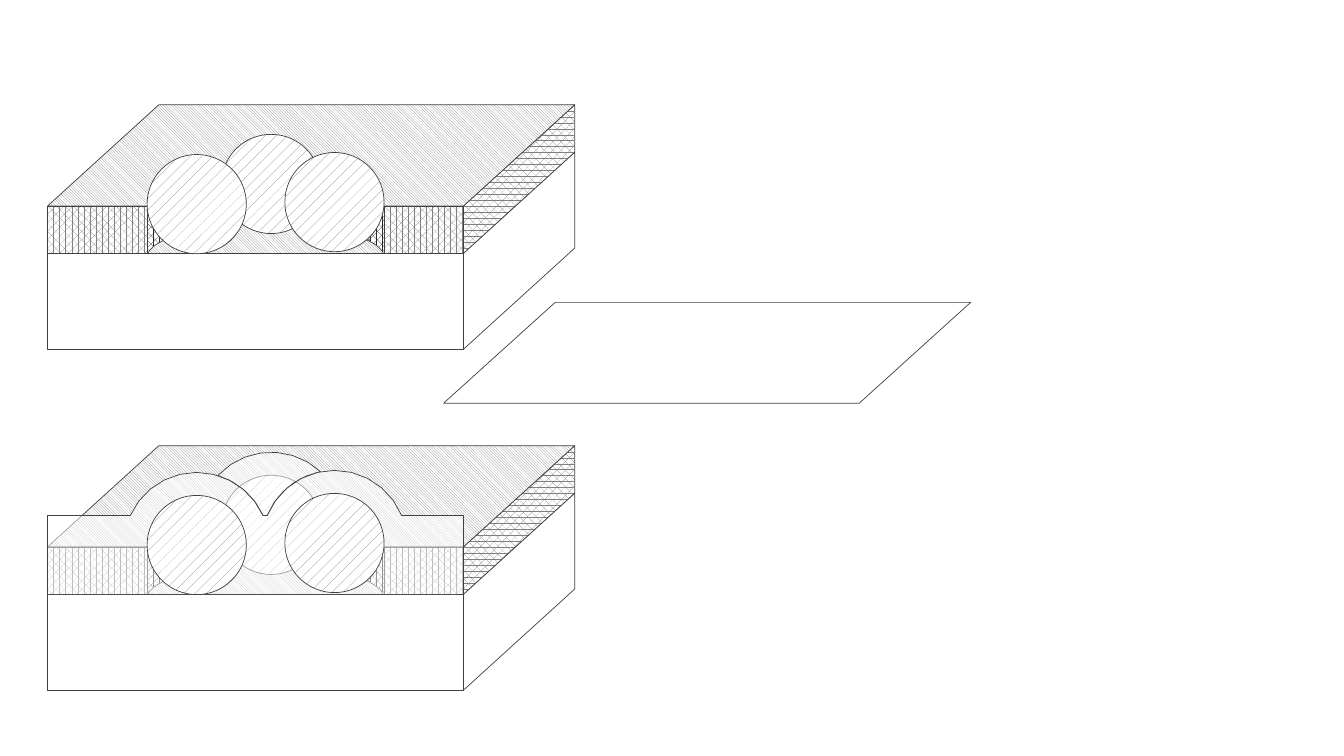
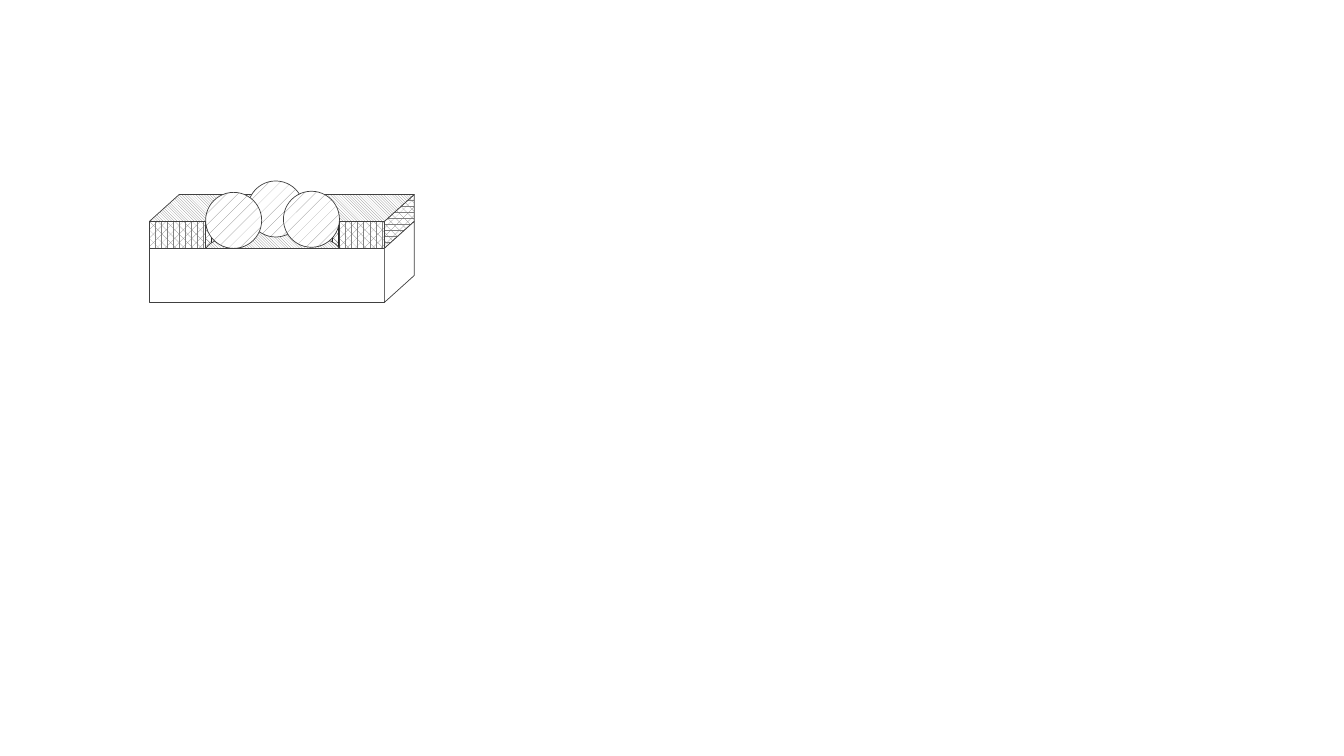
from dataclasses import dataclass
from math import asin, ceil, cos, degrees, radians, sin
from typing import NamedTuple, Optional

from lxml.etree import SubElement
from pptx import Presentation
from pptx.dml.color import RGBColor
from pptx.enum.dml import MSO_PATTERN as Pattern
from pptx.enum.shapes import MSO_SHAPE as Preset
from pptx.oxml.ns import qn
from pptx.util import Inches, Pt

COLORS = {"paper": "FFFFFF", "outline": "404040", "grey": "808080", "dark": "262626"}

# The slide is a grid of 75 rows of square cells; all lengths are in cells.
ROWS = 75
SLIDE_WIDTH, SLIDE_HEIGHT = Inches(13.33), Inches(7.5)
CELL = SLIDE_HEIGHT / ROWS


class Point(NamedTuple):
    x: float
    y: float


@dataclass(frozen=True)
class Paint:
    """A solid fill in the paper colour, or a pattern in the given ink."""
    pattern: Optional[Pattern] = None
    ink: str = "grey"
    opacity: int = 100


SOLID = Paint()
GLASS = Paint(opacity=50)
FILM = Paint(Pattern.PERCENT_60)
HOLLOW = Paint(Pattern.PERCENT_60, "dark")
SURFACE = Paint(Pattern.DARK_DOWNWARD_DIAGONAL)
SPHERE = Paint(Pattern.PERCENT_10)

# Proportions of a block at scale 1, measured from the film's front top left corner.
WIDTH, FILM_HEIGHT, BASE_HEIGHT = 41.25, 4.72, 9.5
OPENING_LEFT, OPENING_WIDTH = 9.87, 23.52
FLOOR_TOP, FLOOR_HEIGHT = 1.8, 6.6
BALL_SIZE = 9.84
LEFT_BALL, BACK_BALL, RIGHT_BALL = Point(9.87, -5.1), Point(17.25, -7.1), Point(23.53, -5.3)
COAT_RADIUS, COAT_LEDGE = 7.2, -3.1
ARC_STEP = 14


@dataclass(frozen=True)
class Block:
    left: float
    top: float
    scale: float
    skew: Point
    coated: bool = False

    def at(self, x: float, y: float) -> Point:
        return Point(self.left + x * self.scale, self.top + y * self.scale)

    def behind(self, x: float, y: float) -> Point:
        """The point on the back face that matches a point on the front face."""
        front = self.at(x, y)
        return Point(front.x + self.skew.x, front.y - self.skew.y)


def emu(cells: float) -> int:
    return round(cells * CELL)


def rgb(name: str) -> RGBColor:
    return RGBColor.from_string(COLORS[name])


def apply_paint(shape, paint: Paint) -> None:
    shape.shadow.inherit = False
    fill = shape.fill
    if paint.pattern is None:
        fill.solid()
        fill.fore_color.rgb = rgb("paper")
        if paint.opacity < 100:
            color = shape.element.spPr.find(f"{qn('a:solidFill')}/{qn('a:srgbClr')}")
            SubElement(color, qn("a:alpha")).set("val", str(paint.opacity * 1000))
    else:
        fill.patterned()
        fill.pattern = paint.pattern
        fill.fore_color.rgb = rgb(paint.ink)
        fill.back_color.rgb = rgb("paper")
    shape.line.color.rgb = rgb("outline")
    shape.line.width = Pt(0.5)


def draw_preset(shapes, preset: Preset, corner: Point, width: float, height: float,
                paint: Paint) -> None:
    shape = shapes.add_shape(preset, emu(corner.x), emu(corner.y), emu(width), emu(height))
    apply_paint(shape, paint)


def draw_outline(shapes, points: list[Point], paint: Paint) -> None:
    corners = [(emu(point.x), emu(point.y)) for point in points]
    builder = shapes.build_freeform(*corners[0], scale=1.0)
    builder.add_line_segments(corners[1:], close=True)
    apply_paint(builder.convert_to_shape(), paint)


def coat_arc(block: Block, ball: Point, start: float, end: float) -> list[Point]:
    """Points on the coat around a ball, between two angles in degrees."""
    steps = ceil(abs(end - start) / ARC_STEP)
    angles = [radians(start + (end - start) * step / steps) for step in range(steps + 1)]
    return [block.at(ball.x + BALL_SIZE / 2 + COAT_RADIUS * cos(angle),
                     ball.y + BALL_SIZE / 2 - COAT_RADIUS * sin(angle)) for angle in angles]


def ledge_angle(ball: Point) -> float:
    return degrees(asin((ball.y + BALL_SIZE / 2 - COAT_LEDGE) / COAT_RADIUS))


def draw_back_coat(shapes, block: Block) -> None:
    points = (coat_arc(block, BACK_BALL, 137, 47)
              + coat_arc(block, RIGHT_BALL, 101, 180 - ledge_angle(RIGHT_BALL))
              + coat_arc(block, LEFT_BALL, ledge_angle(LEFT_BALL), 72))
    draw_outline(shapes, points, GLASS)


def draw_front_coat(shapes, block: Block) -> None:
    points = [block.at(0, FILM_HEIGHT), block.at(0, COAT_LEDGE)]
    for ball in (LEFT_BALL, RIGHT_BALL):
        angle = ledge_angle(ball)
        points += coat_arc(block, ball, 180 - angle, angle)
    points += [block.at(WIDTH, COAT_LEDGE), block.at(WIDTH, FILM_HEIGHT)]
    draw_outline(shapes, points, GLASS)


def draw_block(shapes, block: Block) -> None:
    def front(preset: Preset, x: float, y: float, width: float, height: float,
              paint: Paint) -> None:
        draw_preset(shapes, preset, block.at(x, y), width * block.scale,
                    height * block.scale, paint)

    def side(top: float, bottom: float, paint: Paint) -> None:
        draw_outline(shapes, [block.at(WIDTH, top), block.behind(WIDTH, top),
                              block.behind(WIDTH, bottom), block.at(WIDTH, bottom)], paint)

    def sphere(ball: Point) -> None:
        front(Preset.OVAL, *ball, BALL_SIZE, BALL_SIZE, SPHERE)

    bottom = FILM_HEIGHT + BASE_HEIGHT
    opening_right = OPENING_LEFT + OPENING_WIDTH
    side(0, FILM_HEIGHT, FILM)
    front(Preset.RECTANGLE, OPENING_LEFT, 0, OPENING_WIDTH, FILM_HEIGHT, HOLLOW)
    front(Preset.OVAL, OPENING_LEFT, FLOOR_TOP, OPENING_WIDTH, FLOOR_HEIGHT, SURFACE)
    draw_outline(shapes, [block.behind(0, 0), block.behind(WIDTH, 0),
                          block.at(WIDTH, 0), block.at(0, 0)], SURFACE)
    sphere(BACK_BALL)
    if block.coated:
        draw_back_coat(shapes, block)
    for start, end in ((0, OPENING_LEFT), (opening_right, WIDTH)):
        front(Preset.RECTANGLE, start, 0, end - start, FILM_HEIGHT, FILM)
    front(Preset.RECTANGLE, 0, FILM_HEIGHT, WIDTH, BASE_HEIGHT, SOLID)
    side(FILM_HEIGHT, bottom, SOLID)
    if block.coated:
        draw_front_coat(shapes, block)
    sphere(LEFT_BALL)
    sphere(RIGHT_BALL)


def draw_plate(shapes) -> None:
    draw_outline(shapes, [Point(55.07, 30), Point(96.27, 30), Point(85.23, 40), Point(44, 40)],
                 GLASS)


def main() -> None:
    deck = Presentation()
    deck.slide_width, deck.slide_height = SLIDE_WIDTH, SLIDE_HEIGHT
    blank = deck.slide_layouts[6]

    steps_page = deck.slides.add_slide(blank)
    skew = Point(11.03, 10.03)
    draw_block(steps_page.shapes, Block(4.72, 20.43, 1, skew))
    draw_block(steps_page.shapes, Block(4.72, 54.25, 1, skew, coated=True))
    draw_plate(steps_page.shapes)

    small_page = deck.slides.add_slide(blank)
    group = small_page.shapes.add_group_shape()
    draw_block(group.shapes, Block(14.82, 21.97, 0.565, Point(2.96, 2.67)))

    deck.save("out.pptx")


if __name__ == "__main__":
    main()
